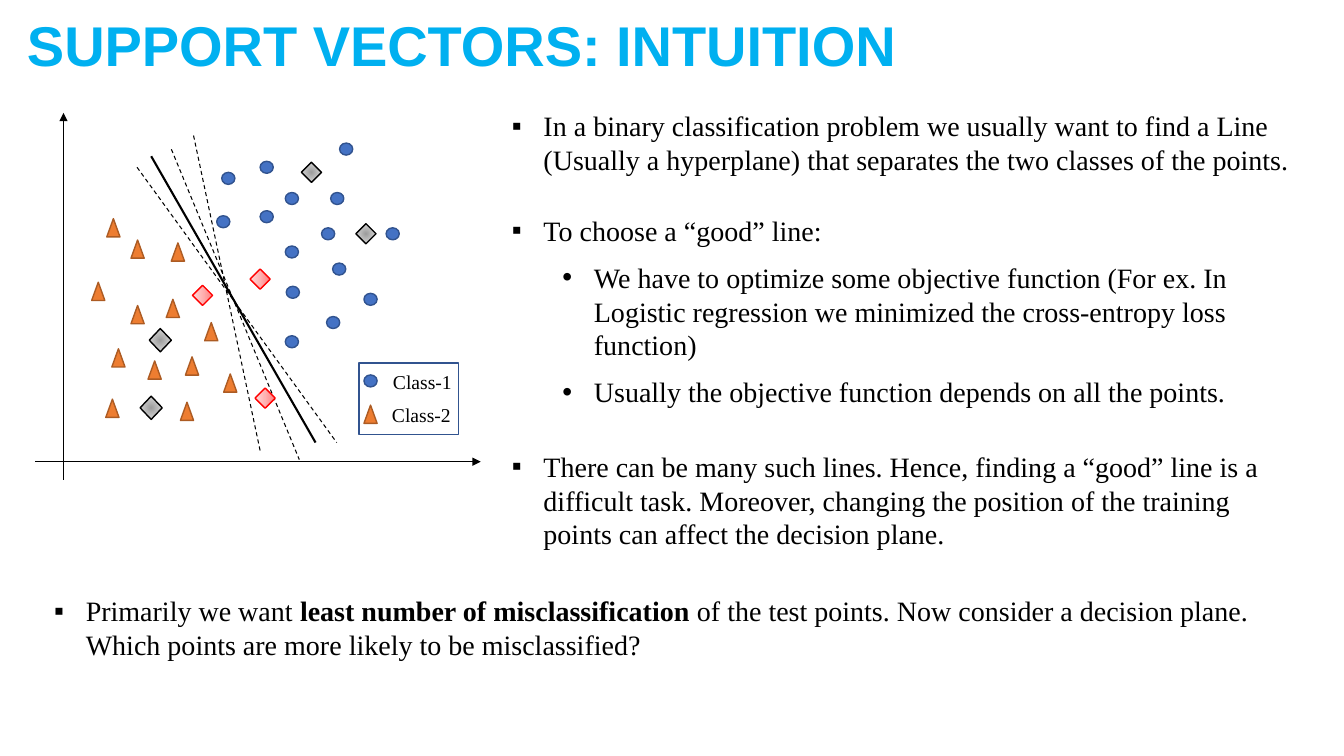
from dataclasses import dataclass
from typing import NamedTuple

from lxml import etree
from pptx import Presentation
from pptx.dml.color import RGBColor
from pptx.enum.dml import MSO_LINE
from pptx.enum.shapes import MSO_CONNECTOR, MSO_SHAPE
from pptx.oxml import parse_xml
from pptx.oxml.ns import nsdecls, qn
from pptx.util import Pt

DOT = MSO_SHAPE.OVAL
TRI = MSO_SHAPE.ISOSCELES_TRIANGLE
GEM = MSO_SHAPE.DIAMOND
RECT = MSO_SHAPE.RECTANGLE
LINE = MSO_CONNECTOR.STRAIGHT
DASH = MSO_LINE.DASH


@dataclass(frozen=True)
class Theme:
    black: str = "000000"
    title: str = "00B0F0"
    blue: str = "4472C4"
    navy: str = "31538F"
    orange: str = "ED7D31"
    brown: str = "AC5B23"
    red: str = "FF0000"
    grays: tuple[str, ...] = ("9C9C9C", "C3C3C3", "E2E2E2")
    pinks: tuple[str, ...] = ("FF7E7E", "FFB1B1", "FFD9D9")
    sans: str = "Arial"
    serif: str = "Times New Roman"
    head: float = 40
    body: float = 20
    key: float = 14


class Mark(NamedTuple):
    kind: MSO_SHAPE
    wide: float
    high: float
    fill: tuple[str, ...]
    edge: str
    round: bool = False


class Rule(NamedTuple):
    start: tuple[float, float]
    end: tuple[float, float]
    width: float
    dash: bool = False
    arrow: bool = False


class Item(NamedTuple):
    runs: tuple[str, ...]  # every second run is bold
    level: int = 0


class Block(NamedTuple):
    box: tuple[float, float, float, float]
    items: tuple[Item, ...]


T = Theme()

BLUE = Mark(DOT, 9.4, 8.6, (T.blue,), T.navy)
AMBER = Mark(TRI, 9.4, 13, (T.orange,), T.brown)
GRAY = Mark(GEM, 14.4, 14.4, T.grays, T.black, True)
LARGE = GRAY._replace(wide=15.8, high=16.6)
PINK = Mark(GEM, 14.4, 14.4, T.pinks, T.red)
FRAME = Mark(RECT, 71.3, 51.1, (), T.navy)

AXES = (
    Rule((45.4, 342.7), (45.4, 80.6), 1, arrow=True),
    Rule((25.2, 329.8), (343.4, 329.8), 1, arrow=True),
)
PLANES = (
    Rule((122.4, 106.6), (213.8, 328.3), 0.75, dash=True),
    Rule((97.9, 119.5), (240.5, 316.1), 0.75, dash=True),
    Rule((185.8, 321.8), (138.2, 96.5), 0.75, dash=True),
    Rule((108, 111.6), (225.4, 316.1), 1.5),
)
# Left and top of each mark
POINTS = (
    (BLUE, ((260, 209.5), (242.6, 102.2), (158.4, 123.1), (185.8, 115.2),
            (185.8, 150.5), (154.8, 154.1), (203.8, 175.7), (203.8, 137.5),
            (229.7, 162.7), (236.2, 137.5), (204.5, 204.5), (237.6, 187.9),
            (275.8, 162.7), (203.8, 239.8), (233.3, 226.1))),
    (AMBER, ((93.6, 171.4), (122.4, 173.5), (93.6, 218.2), (105.8, 257.8),
             (146.2, 230.4), (118.8, 213.8), (132.5, 254.9), (159.8, 267.1),
             (128.9, 287.3), (75.6, 285.1), (79.9, 249.1), (65.5, 201.6),
             (76.3, 156.2))),
    (FRAME, ((256.3, 259.2),)),
    (BLUE, ((260, 267.8),)),
    (AMBER, ((260, 289.4),)),
)
GEMS = (
    (GRAY, ((254.2, 159.8), (215.3, 115.9))),
    (LARGE, ((106.6, 234.7), (100.1, 283))),
    (PINK, ((178.6, 192.2), (137.5, 203.8), (182.2, 277.2))),
)
KEYS = (("Class-1", 273.6, 260.6), ("Class-2", 272.9, 284.4))
BLOCKS = (
    Block((358.6, 74.2, 576.7, 55.4), (
        Item(("In a binary classification problem we usually want to find a Line (Usually a hyperplane) that separates the two classes of the points.",)),
    )),
    Block((358.6, 149, 576.7, 147.6), (
        Item(("To choose a “good” line:",)),
        Item(("We have to optimize some objective function (For ex. In Logistic regression we minimized the cross-entropy loss function)",), 1),
        Item(("Usually the objective function depends on all the points.",), 1),
    )),
    Block((358.6, 317.5, 576.7, 79.9), (
        Item(("There can be many such lines. Hence, finding a “good” line is a difficult task. Moreover, changing the position of the training points can affect the decision plane.",)),
    )),
    Block((31.7, 420.5, 909.4, 55.4), (
        Item(("Primarily we want ", "least number of misclassification ",
              "of the test points. Now consider a decision plane. Which points are more likely to be misclassified?")),
    )),
)


def shade(shape, tones: tuple[str, ...], round: bool) -> None:
    """Fill with evenly spaced tones, from the centre or along a line."""
    step = 100000 // (len(tones) - 1)
    stops = "".join(
        f'<a:gs pos="{i * step}"><a:srgbClr val="{tone}"/></a:gs>'
        for i, tone in enumerate(tones))
    way = ('<a:path path="circle"><a:fillToRect l="50000" t="50000" r="50000" b="50000"/></a:path>'
           if round else '<a:lin ang="10800000" scaled="1"/>')
    shape.fill.gradient()
    props = shape._element.spPr
    props.replace(props.find(qn("a:gradFill")), parse_xml(
        f'<a:gradFill {nsdecls("a")}><a:gsLst>{stops}</a:gsLst>{way}</a:gradFill>'))


def draw_mark(slide, mark: Mark, left: float, top: float) -> None:
    shape = slide.shapes.add_shape(
        mark.kind, Pt(left), Pt(top), Pt(mark.wide), Pt(mark.high))
    shape.shadow.inherit = False
    shape.line.color.rgb = RGBColor.from_string(mark.edge)
    shape.line.width = Pt(1)
    if not mark.fill:
        shape.fill.background()
    elif len(mark.fill) == 1:
        shape.fill.solid()
        shape.fill.fore_color.rgb = RGBColor.from_string(mark.fill[0])
    else:
        shade(shape, mark.fill, mark.round)


def draw_marks(slide, groups) -> None:
    for mark, spots in groups:
        for left, top in spots:
            draw_mark(slide, mark, left, top)


def draw_rule(slide, rule: Rule) -> None:
    link = slide.shapes.add_connector(LINE, *map(Pt, rule.start + rule.end))
    link.line.color.rgb = RGBColor.from_string(T.black)
    link.line.width = Pt(rule.width)
    if rule.dash:
        link.line.dash_style = DASH
    if rule.arrow:
        etree.SubElement(link.line._get_or_add_ln(), qn("a:tailEnd"), type="triangle")
    etree.SubElement(link._element.spPr, qn("a:effectLst"))


def set_font(para, face: str, size: float, tone: str, bold: bool | None = None) -> None:
    font = para.font
    font.name, font.size, font.bold = face, Pt(size), bold
    font.color.rgb = RGBColor.from_string(tone)


def add_label(slide, text: str, box: tuple[float, ...], *style) -> None:
    """Write one unwrapped line; style is passed on to set_font."""
    frame = slide.shapes.add_textbox(*map(Pt, box)).text_frame
    frame.text = text
    set_font(frame.paragraphs[0], *style)


def add_bullet(para, level: int) -> None:
    para.level = level
    props = para._p.get_or_add_pPr()
    props.set("marL", str(Pt(22.5 + 36 * level)))
    props.set("indent", str(Pt(-22.5)))
    tint = etree.SubElement(props, qn("a:buClr"))
    etree.SubElement(tint, qn("a:srgbClr"), val=T.black)
    etree.SubElement(props, qn("a:buFont"), typeface=T.sans)
    etree.SubElement(props, qn("a:buChar"), char="▪•"[level])


def add_block(slide, block: Block) -> None:
    frame = slide.shapes.add_textbox(*map(Pt, block.box)).text_frame
    frame.word_wrap = True
    for i, item in enumerate(block.items):
        para = frame.add_paragraph() if i else frame.paragraphs[0]
        if i:
            para.space_before = Pt(9.5)
        add_bullet(para, item.level)
        set_font(para, T.serif, T.body, T.black)
        for j, text in enumerate(item.runs):
            run = para.add_run()
            run.text = text
            if j % 2:
                run.font.bold = True


def main() -> None:
    deck = Presentation()
    deck.slide_width, deck.slide_height = Pt(960), Pt(540)
    slide = deck.slides.add_slide(deck.slide_layouts[6])
    add_label(slide, "SUPPORT VECTORS: INTUITION", (12.2, 4.3, 742.3, 55.4),
              T.sans, T.head, T.title, True)
    for rule in AXES:
        draw_rule(slide, rule)
    draw_marks(slide, POINTS)
    for text, left, top in KEYS:
        add_label(slide, text, (left, top, 56.9, 24.5), T.serif, T.key, T.black)
    for rule in PLANES:
        draw_rule(slide, rule)
    for block in BLOCKS:
        add_block(slide, block)
    draw_marks(slide, GEMS)
    deck.save("out.pptx")


if __name__ == "__main__":
    main()
